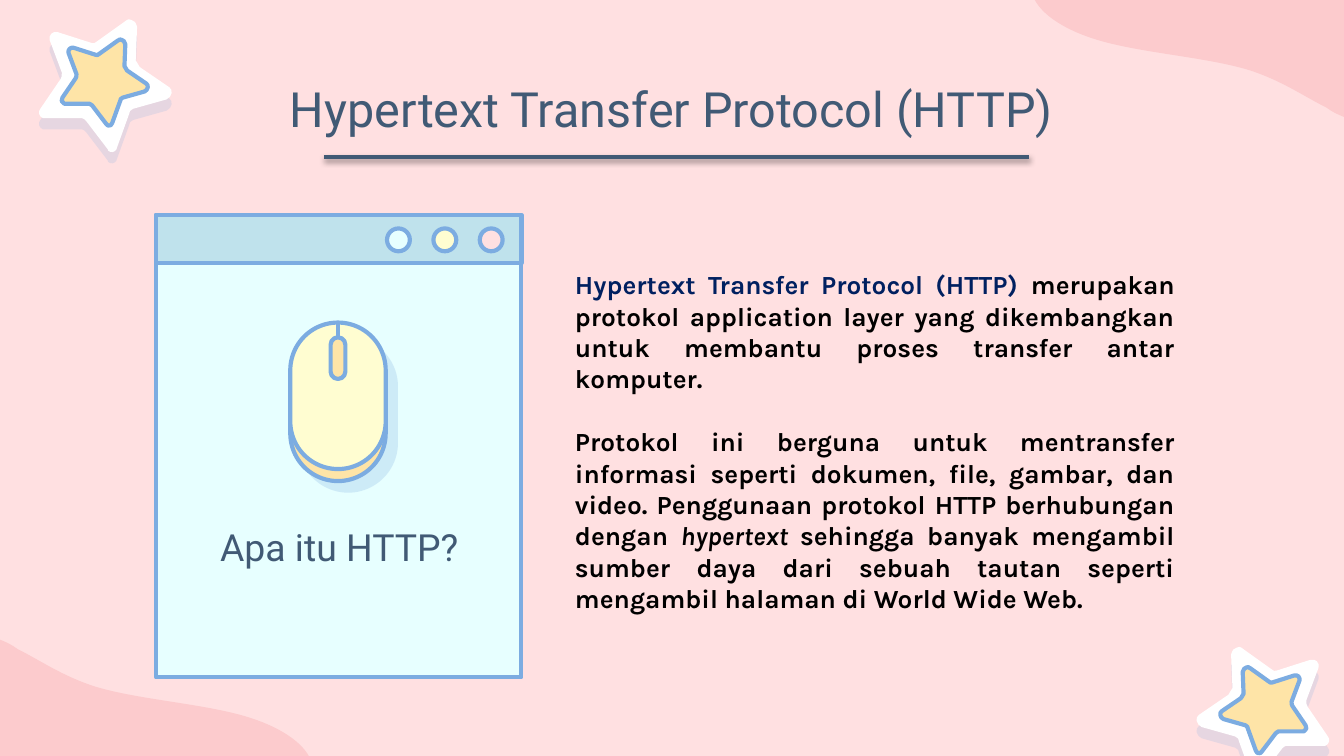
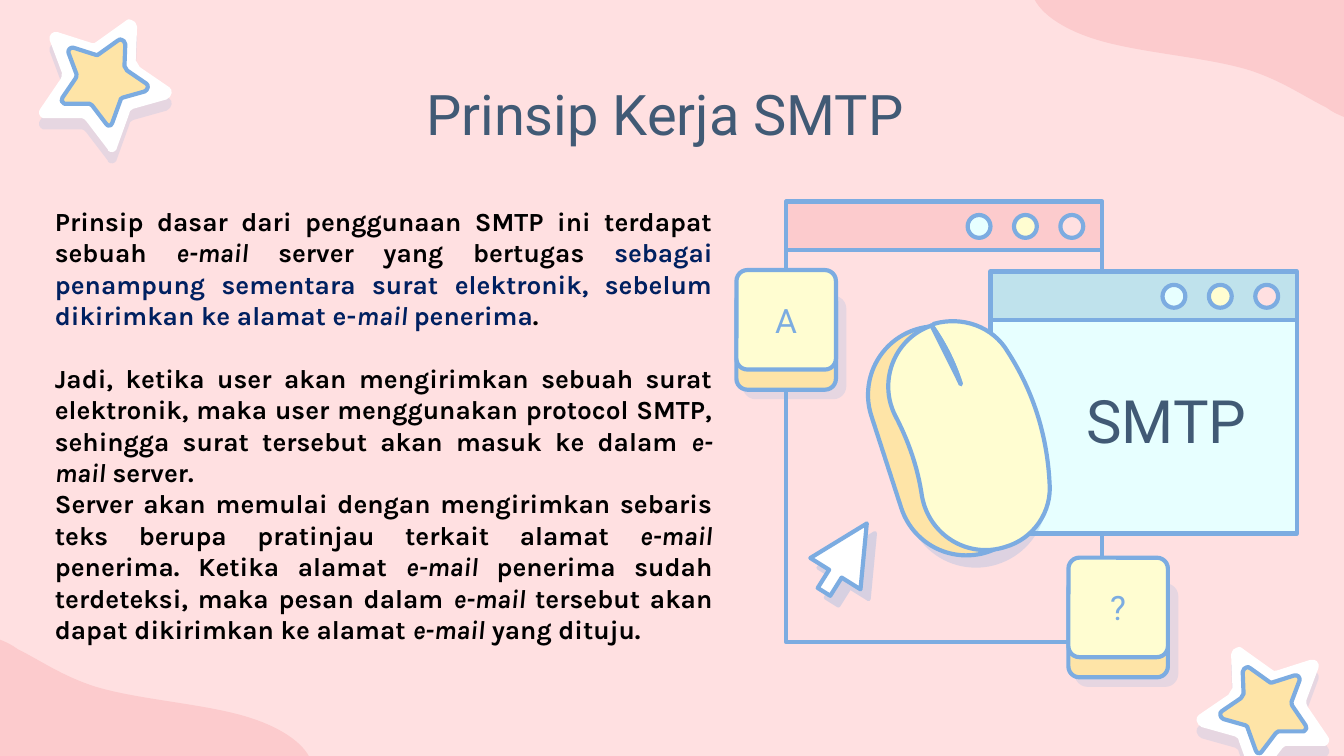
import math

from lxml import etree
from pptx import Presentation
from pptx import util as u
from pptx.dml.color import RGBColor
from pptx.enum import shapes, text
from pptx.oxml.ns import qn

WIDTH, HEIGHT = u.Inches(10), u.Inches(5.625)
CELL = WIDTH / 10
COLS, ROWS = 10, 5.63

PINK, ROSE, SLATE, BLUE = "FFE0E1", "FCCBCD", "415A75", "7CACE1"
ICE, TEAL, CREAM, GOLD = "E7FFFF", "BFE2EC", "FFFDD1", "FEE4A7"
WHITE, BLACK, NAVY = "FFFFFF", "000000", "002060"

HEADING = {"name": "Roboto"}
BODY = {"name": "Karla", "size": u.Pt(14), "bold": True}
LINE_GAP = u.Pt(16.8)
ITALIC = {"italic": True}
ACCENT = {"color": NAVY}
KIND = shapes.MSO_SHAPE
ALIGN = text.PP_ALIGN
ANCHOR = text.MSO_ANCHOR
STAR_TILT, MOUSE_TILT = 21.8, 342

STAR = [
    (0.98, 0.15), (0.97, 0.14, 0.95, 0.14, 0.93, 0.16),
    (0.72, 0.31), (0.71, 0.32, 0.69, 0.33, 0.68, 0.32),
    (0.43, 0.24), (0.39, 0.23, 0.36, 0.26, 0.37, 0.3),
    (0.46, 0.54), (0.46, 0.56, 0.46, 0.58, 0.45, 0.59),
    (0.3, 0.81), (0.28, 0.83, 0.29, 0.87, 0.32, 0.88),
    (0.32, 0.88, 0.33, 0.88, 0.34, 0.88),
    (0.6, 0.88), (0.61, 0.88, 0.61, 0.88, 0.61, 0.88),
    (0.62, 0.88, 0.63, 0.89, 0.64, 0.9),
    (0.8, 1.11), (0.8, 1.12, 0.81, 1.13, 0.82, 1.13),
    (0.84, 1.14, 0.87, 1.12, 0.87, 1.1),
    (0.96, 0.85), (0.96, 0.83, 0.97, 0.82, 0.99, 0.81),
    (1.24, 0.74), (1.28, 0.72, 1.29, 0.67, 1.26, 0.65),
    (1.04, 0.5), (1.02, 0.48, 1.02, 0.47, 1.01, 0.45),
    (1.02, 0.2), (1.01, 0.17, 1, 0.15, 0.98, 0.15),
]
WAVE = [
    (7.7, 0), (7.77, 0.13, 7.97, 0.25, 8.25, 0.32),
    (8.57, 0.4, 8.99, 0.43, 9.29, 0.52),
    (9.54, 0.6, 9.69, 0.71, 9.87, 0.8),
    (9.91, 0.83, 9.95, 0.85, 10, 0.87), (10, 0), (7.7, 0),
]
MOUSE_TOP = [
    (6.95, 2.41), (7.16, 2.35, 7.39, 2.43, 7.5, 2.62),
    (7.68, 2.9, 7.79, 3.22, 7.81, 3.59),
    (7.83, 3.81, 7.69, 4.01, 7.48, 4.07),
    (7.2, 4.16, 6.91, 3.98, 6.86, 3.69),
    (6.83, 3.48, 6.76, 3.28, 6.66, 3.09),
    (6.53, 2.83, 6.66, 2.51, 6.94, 2.42),
]
SLIT_EDGE = (6.93, 2.42, 7.07, 2.6, 7.15, 2.86)
SLIT = [(6.93, 2.42), (6.93, 2.42), SLIT_EDGE, (6.93, 2.42)]
SLIT_LINE = [(6.93, 2.42), SLIT_EDGE]


def rgb(value):
    return RGBColor.from_string(value)


def cells(*values):
    return [round(v * CELL) for v in values]


def assign(obj, values):
    for name, value in values.items():
        setattr(obj, name, value)


def effects(sp, shadow=None):
    lst = etree.SubElement(sp._element.spPr, qn("a:effectLst"))
    if shadow:
        color, alpha, blur, dist, angle = shadow
        outer = etree.SubElement(lst, qn("a:outerShdw"), {
            "blurRad": str(u.Pt(blur)), "dist": str(u.Pt(dist)),
            "dir": str(angle * 60000), "algn": "bl", "rotWithShape": "0"})
        clr = etree.SubElement(outer, qn("a:srgbClr"), val=color)
        etree.SubElement(clr, qn("a:alpha"), val=str(alpha * 1000))


def outline(sp, color, width):
    sp.line.color.rgb = rgb(color)
    sp.line.width = u.Pt(width)


def paint(sp, fill, line=BLUE, shadow=None):
    if fill:
        sp.fill.solid()
        sp.fill.fore_color.rgb = rgb(fill)
    else:
        sp.fill.background()
    if line:
        outline(sp, line, 2.25)
    else:
        sp.line.fill.background()
    effects(sp, shadow)
    return sp


def preset(s, kind, at, fill, adj=(), rot=0, shadow=None):
    sp = s.shapes.add_shape(kind, *cells(*at))
    for i, value in enumerate(adj):
        sp.adjustments[i] = value
    sp.rotation = rot
    return paint(sp, fill, shadow=shadow)


def turn(x, y, degrees):
    c, n = math.cos(math.radians(degrees)), math.sin(math.radians(degrees))
    return x * c - y * n, x * n + y * c


def bend(sp, segments):
    lines = list(sp._element.iter(qn("a:lnTo")))
    for ln, seg in zip(lines, segments):
        if len(seg) == 3:
            bez = etree.Element(qn("a:cubicBezTo"))
            for x, y in seg:
                etree.SubElement(bez, qn("a:pt"), x=str(x - sp.left), y=str(y - sp.top))
            ln.getparent().replace(ln, bez)


def curve(s, path, fill, line=BLUE, shadow=None, close=True, rot=0,
          move=lambda x, y: (x, y)):
    segments = [[cells(*turn(*move(*seg[i:i + 2]), -rot)) for i in range(0, len(seg), 2)]
                for seg in path]
    ends = [seg[-1] for seg in segments]
    fb = s.shapes.build_freeform(*ends[0])
    fb.add_line_segments(ends[1:], close=close)
    sp = fb.convert_to_shape()
    bend(sp, segments[1:])
    x, y = turn(sp.left + sp.width / 2, sp.top + sp.height / 2, rot)
    assign(sp, {"left": round(x - sp.width / 2), "top": round(y - sp.height / 2),
                "rotation": rot})
    return paint(sp, fill, line, shadow)


def connector(s, x1, y1, x2, y2, color, width, shadow=None):
    cx = s.shapes.add_connector(shapes.MSO_CONNECTOR.STRAIGHT, *cells(x1, y1, x2, y2))
    outline(cx, color, width)
    effects(cx, shadow)
    return cx


def add_run(p, content, style):
    r = p.add_run()
    r.text = content
    values = dict(style)
    r.font.color.rgb = rgb(values.pop("color", BLACK))
    assign(r.font, values)


def label(sp, content, size, color=SLATE, anchor=ANCHOR.BOTTOM):
    tf = sp.text_frame
    margin, = cells(0.1)
    assign(tf, {"word_wrap": True, "vertical_anchor": anchor, "margin_left": margin,
                "margin_right": margin, "margin_top": margin, "margin_bottom": margin})
    p = tf.paragraphs[0]
    p.alignment = ALIGN.CENTER
    add_run(p, content, {**HEADING, "size": u.Pt(size), "color": color})


def caption(s, at, content, size, anchor=ANCHOR.BOTTOM):
    label(s.shapes.add_textbox(*cells(*at)), content, size, anchor=anchor)


def prose(s, at, paragraphs):
    tf = s.shapes.add_textbox(*cells(*at)).text_frame
    assign(tf, {"word_wrap": True, "auto_size": text.MSO_AUTO_SIZE.SHAPE_TO_FIT_TEXT})
    for i, runs in enumerate(paragraphs):
        p = tf.add_paragraph() if i else tf.paragraphs[0]
        assign(p, {"alignment": ALIGN.JUSTIFY, "space_before": LINE_GAP if i == 1 else 0})
        for content, style in runs:
            add_run(p, content, {**BODY, **style})


def star(s, rot, place):
    def inner(x, y):
        return place(0.65 * x + 0.27, 0.65 * y + 0.2)

    curve(s, STAR, WHITE, None, (BLUE, 19, 0, 6, 90), rot=rot, move=place)
    curve(s, STAR, GOLD, rot=rot, move=inner)


def window(s, x, y, w, h, bar, body, drop=0):
    preset(s, KIND.RECTANGLE, (x, y + drop, w, h - drop), body)
    preset(s, KIND.ROUND_2_SAME_RECTANGLE, (x, y, w, 0.36), bar, adj=(0, 0))
    for i, fill in enumerate((ICE, CREAM, PINK)):
        preset(s, KIND.OVAL, (x + w - 1 + i * 0.69 / 2, y + 0.1, 0.17, 0.17), fill)


def key(s, x, y, letter):
    shadow = (BLUE, 18, 0, 6, 42)
    preset(s, KIND.ROUNDED_RECTANGLE, (x, y + 0.15, 0.74, 0.74), GOLD, (0.11,), shadow=shadow)
    cap = preset(s, KIND.ROUNDED_RECTANGLE, (x, y, 0.74, 0.74), CREAM, (0.11,))
    label(cap, letter, 18, BLUE, ANCHOR.MIDDLE)


def upright_mouse(s):
    pill = KIND.ROUNDED_RECTANGLE
    preset(s, pill, (2.16, 2.45, 0.71, 1.13), GOLD, (0.5,), shadow=(BLUE, 24, 0, 7.5, 43))
    top = preset(s, pill, (2.16, 2.4, 0.71, 1.09), CREAM, (0.5,))
    wheel = preset(s, pill, (2.46, 2.51, 0.11, 0.31), GOLD, (0.5,))
    cx = connector(s, 2.52, 2.4, 2.52, 2.51, BLUE, 2.25)
    cx.begin_connect(top, 0)
    cx.end_connect(wheel, 0)


def tilted_mouse(s):
    preset(s, KIND.ROUNDED_RECTANGLE, (6.57, 2.41, 1.02, 1.74), GOLD, (0.5,), MOUSE_TILT,
           (BLUE, 25, 0, 7.5, 47))
    curve(s, MOUSE_TOP, CREAM, rot=MOUSE_TILT)
    curve(s, SLIT, None, rot=MOUSE_TILT)
    curve(s, SLIT_LINE, None, close=False, rot=MOUSE_TILT)


def new_slide(prs, title, size):
    s = prs.slides.add_slide(prs.slide_layouts[6])
    s.background.fill.solid()
    s.background.fill.fore_color.rgb = rgb(PINK)
    curve(s, WAVE, ROSE, None, rot=270)
    star(s, STAR_TILT, lambda x, y: (x, y))
    star(s, 360 - STAR_TILT, lambda x, y: (COLS + 0.18 - x, y + 4.67))
    curve(s, WAVE, ROSE, None, rot=90, move=lambda x, y: (COLS - x, ROWS - y))
    caption(s, (0.78, 0.49, 8.44, 0.63), title, size, ANCHOR.TOP)
    return s


def http_slide(prs):
    s = new_slide(prs, "Hypertext Transfer Protocol (HTTP)", 26)
    window(s, 1.16, 1.6, 2.72, 3.44, TEAL, ICE)
    upright_mouse(s)
    caption(s, (1.35, 3.79, 2.35, 0.54), "Apa itu HTTP?", 20)
    connector(s, 2.41, 1.17, 7.66, 1.17, SLATE, 2, (BLACK, 38, 3.1, 1.6, 90))
    prose(s, (4.18, 1.95, 4.66, 2.69), [
        [("Hypertext Transfer Protocol (HTTP) ", ACCENT),
         ("merupakan protokol application layer yang dikembangkan untuk membantu "
          "proses transfer antar komputer. ", {})],
        [("Protokol ini berguna untuk mentransfer informasi seperti dokumen, file, "
          "gambar, dan video. Penggunaan protokol HTTP berhubungan dengan ", {}),
         ("hypertext ", ITALIC),
         ("sehingga banyak mengambil sumber daya dari sebuah tautan seperti "
          "mengambil halaman di World Wide Web. ", {})],
    ])


def smtp_slide(prs):
    s = new_slide(prs, "Prinsip Kerja SMTP ", 30)
    window(s, 5.85, 1.5, 2.35, 3.28, ROSE, PINK)
    window(s, 7.37, 2.02, 2.28, 1.95, TEAL, ICE, drop=0.36)
    tilted_mouse(s)
    caption(s, (7.72, 2.51, 1.92, 0.98), "SMTP", 32)
    preset(s, KIND.UP_ARROW, (6.07, 3.85, 0.44, 0.6), WHITE, (0.25, 1), 32,
           (BLUE, 30, 0, 6.8, 50))
    key(s, 7.95, 4.15, "?")
    key(s, 5.48, 2.01, "A")
    prose(s, (0.31, 1.48, 5.09, 3.4), [
        [("Prinsip dasar dari penggunaan SMTP ini terdapat sebuah ", {}),
         ("e-mail", ITALIC), (" server yang bertugas ", {}),
         ("sebagai penampung sementara surat elektronik, sebelum dikirimkan ke "
          "alamat e-", ACCENT),
         ("mail ", {**ACCENT, **ITALIC}), ("penerima", ACCENT), (". ", {})],
        [("Jadi, ketika user akan mengirimkan sebuah surat elektronik, maka user "
          "menggunakan protocol SMTP, sehingga surat tersebut akan masuk ke dalam ", {}),
         ("e-mail", ITALIC), (" server. ", {})],
        [("Server akan memulai dengan mengirimkan sebaris teks berupa pratinjau "
          "terkait alamat ", {}),
         ("e-mail ", ITALIC), ("penerima. Ketika alamat ", {}),
         ("e-mail ", ITALIC), ("penerima sudah terdeteksi, maka pesan dalam ", {}),
         ("e-mail ", ITALIC), ("tersebut akan dapat dikirimkan ke alamat ", {}),
         ("e-mail", ITALIC), (" yang dituju.", {})],
    ])


def main():
    prs = Presentation()
    assign(prs, {"slide_width": WIDTH, "slide_height": HEIGHT})
    http_slide(prs)
    smtp_slide(prs)
    prs.save("out.pptx")


if __name__ == "__main__":
    main()
